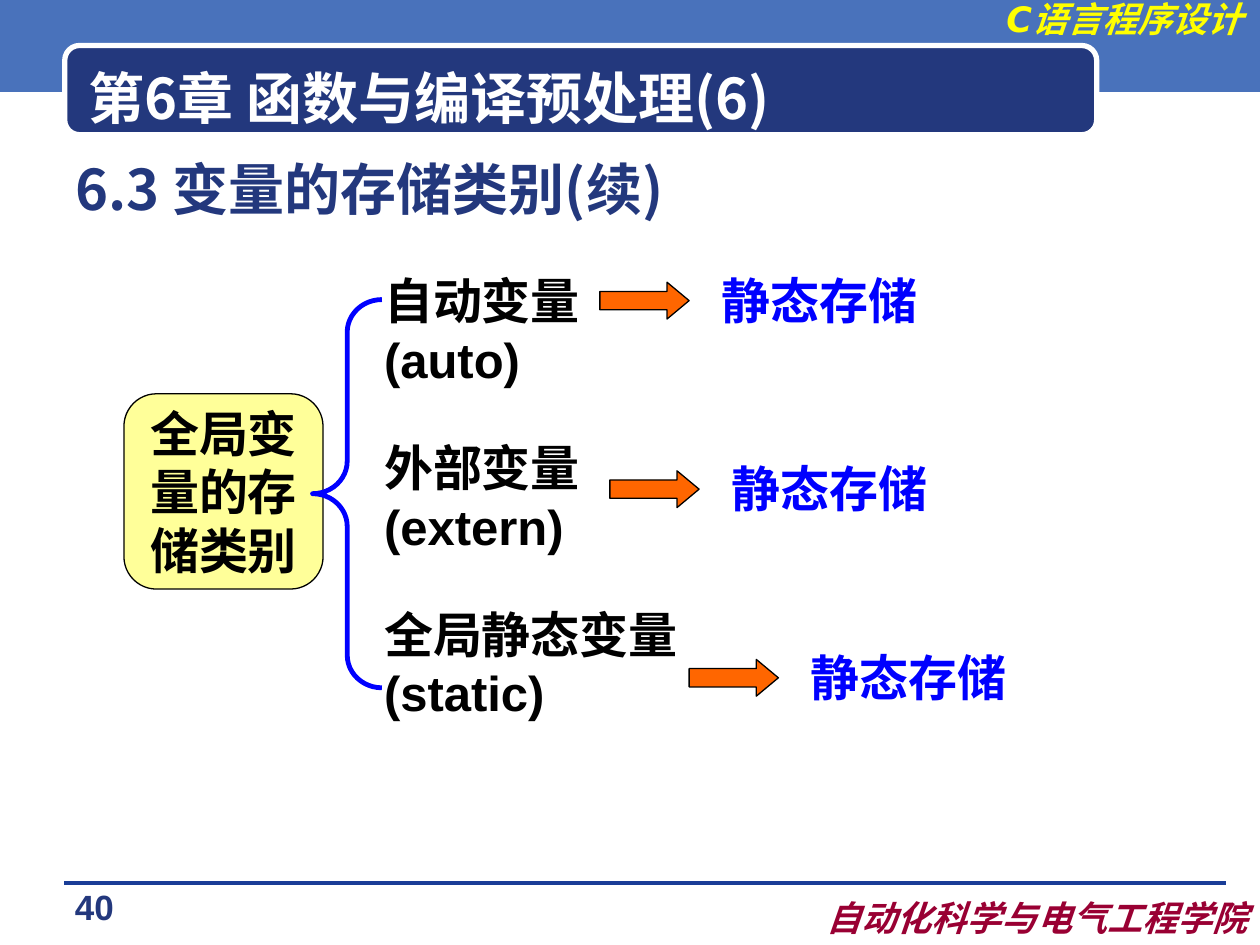
from pptx import Presentation
from pptx.dml.color import RGBColor
from pptx.enum.shapes import MSO_CONNECTOR as Line, MSO_SHAPE as Kind
from pptx.enum.text import MSO_ANCHOR as Anchor, PP_ALIGN as Align
from pptx.oxml.ns import qn
from pptx.util import Pt
from lxml.etree import SubElement

NAVY, BLUE, BLACK, WHITE = "23387D", "0000FF", "000000", "FFFFFF"
SANS, CJK, DEJA = "Arial", "Noto Sans CJK SC", "DejaVu Sans"


def color(code):
    return RGBColor.from_string(code)


def place(item, box):
    item.left, item.top, item.width, item.height = map(Pt, box)


def write(frame, lines, size, font, code, align=Align.LEFT, gap=0, slant=False):
    """Fill a text frame with bold paragraphs, gap points apart."""
    for i, line in enumerate(lines):
        para = frame.add_paragraph() if i else frame.paragraphs[0]
        para.text = line
        para.alignment = align
        para.space_before = Pt(gap if i else 0)
        face = para.font
        face.name, face.size = font, Pt(size)
        face.bold, face.italic = True, slant
        face.color.rgb = color(code)


def label(slide, box, lines, *style, wrap=True, **more):
    frame = slide.shapes.add_textbox(*map(Pt, box)).text_frame
    frame.word_wrap = wrap
    write(frame, lines, *style, **more)


def shape(slide, kind, box, fill=None, line=None, width=0.75, adjust=()):
    item = slide.shapes.add_shape(kind, *map(Pt, box))
    item.shadow.inherit = False
    for i, value in enumerate(adjust):
        item.adjustments[i] = value
    if fill:
        item.fill.solid()
        item.fill.fore_color.rgb = color(fill)
    else:
        item.fill.background()
    if line:
        item.line.color.rgb = color(line)
        item.line.width = Pt(width)
    else:
        item.line.fill.background()
    return item


def rule(slide, left, right, y, code):
    item = slide.shapes.add_connector(Line.STRAIGHT, Pt(left), Pt(y), Pt(right), Pt(y))
    item.line.color.rgb = color(code)
    item.line.width = Pt(0)
    SubElement(item._element.spPr, qn("a:effectLst"))


def result(slide, left, top):
    """An arrow and the storage kind it leads to."""
    label(slide, (left + 51, top, 149, 33.5), ["静态存储"], 28, CJK, BLUE,
          align=Align.CENTER, wrap=False)
    shape(slide, Kind.RIGHT_ARROW, (left, top + 10.3, 51, 21), "FF6600", BLACK,
          adjust=(0.5, 0.6))


def frame(slide):
    """Banner, title and footer."""
    shape(slide, Kind.RECTANGLE, (0, -2.2, 720, 54.7), "4972BB")
    rule(slide, 36.7, 700.6, 504.7, "1A3D97")
    bar = shape(slide, Kind.ROUNDED_RECTANGLE, (37, 26, 589.7, 51), NAVY, WHITE, 3)
    title = slide.shapes.title
    bar._element.addnext(title._element)  # bring the title in front of its bar
    place(title, (43.2, 33.1, 563.8, 44.6))
    title.text_frame.vertical_anchor = Anchor.MIDDLE
    write(title.text_frame, ["第6章 函数与编译预处理(6)"], 32, CJK, WHITE)
    label(slide, (535.7, -5, 181.4, 31.7), ["C语言程序设计"], 20, DEJA, "FFFF00",
          align=Align.RIGHT, slant=True)
    label(slide, (429, 509, 291, 31.7), ["自动化科学与电气工程学院"], 20, DEJA, "990033",
          align=Align.RIGHT, slant=True)
    label(slide, (14.4, 502.6, 79.2, 31), ["40"], 20, SANS, NAVY, align=Align.CENTER)


def tree(slide):
    """Storage classes of global variables."""
    root = shape(slide, Kind.ROUNDED_RECTANGLE, (70.8, 225, 113.8, 111.6), "FFFF99", BLACK)
    text = root.text_frame
    text.margin_left = text.margin_right = text.margin_top = text.margin_bottom = 0
    text.word_wrap = True
    text.vertical_anchor = Anchor.MIDDLE
    write(text, ["全局变量的存储类别"], 28, SANS, BLACK, align=Align.CENTER)
    shape(slide, Kind.LEFT_BRACE, (178.6, 171.2, 39.6, 221.8), None, BLUE, 2.75,
          adjust=(0.47, 0.5))
    names = ["自动变量 (auto)", "外部变量(extern)", "全局静态变量(static)"]
    label(slide, (212.4, 151.2, 193, 265), names, 28, SANS, BLACK, gap=28)
    for row, left in enumerate((342.8, 348.5, 393.8)):
        result(slide, left, 151 + 107.75 * row)


def main():
    deck = Presentation()
    deck.slide_width, deck.slide_height = Pt(720), Pt(540)
    slide = deck.slides.add_slide(deck.slide_layouts[5])
    frame(slide)
    label(slide, (36, 85, 648, 413), ["6.3 变量的存储类别(续)"], 32, CJK, NAVY)
    tree(slide)
    deck.save("out.pptx")


if __name__ == "__main__":
    main()
